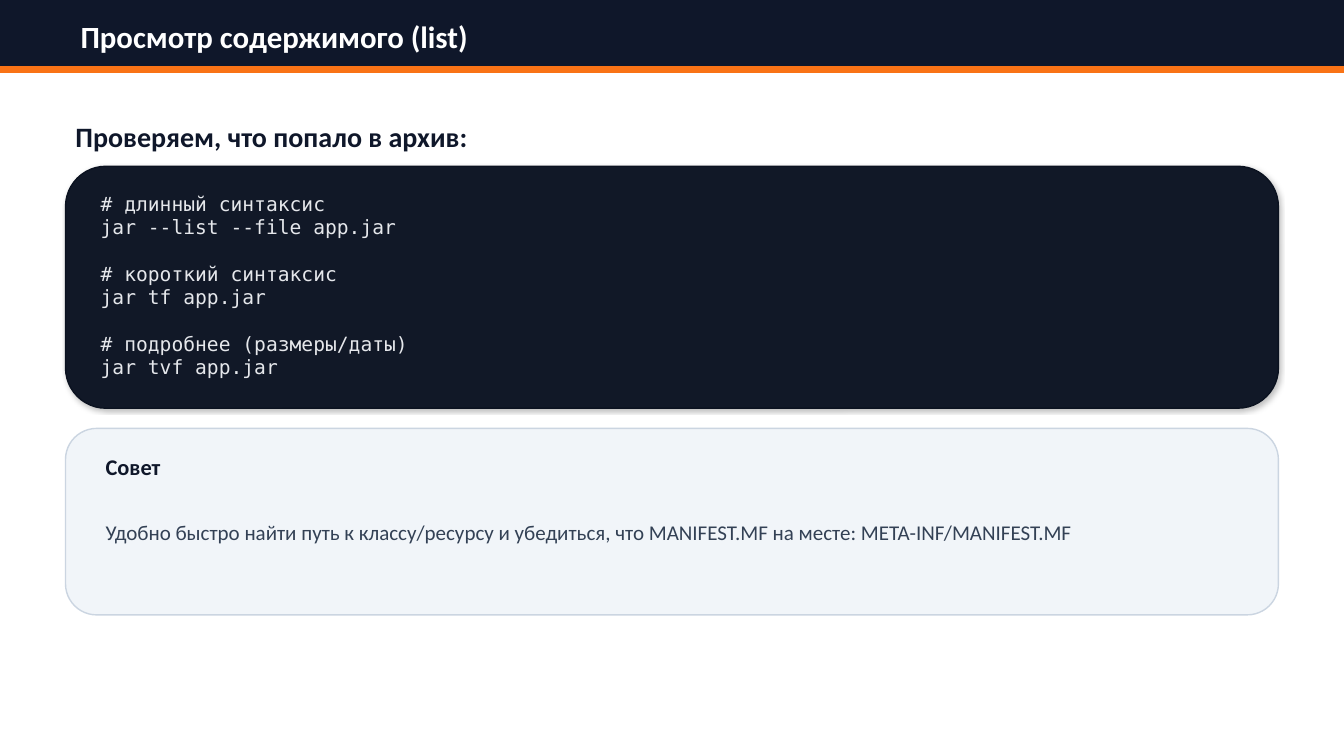
from dataclasses import dataclass
from typing import Optional

from lxml.etree import SubElement
from pptx import Presentation
from pptx.dml.color import RGBColor
from pptx.enum.shapes import MSO_SHAPE
from pptx.enum.text import MSO_ANCHOR, MSO_AUTO_SIZE, PP_ALIGN
from pptx.oxml.ns import qn
from pptx.shapes.autoshape import Shape
from pptx.slide import Slide
from pptx.util import Inches, Pt

NAVY = RGBColor(0x0F, 0x17, 0x2A)
ORANGE = RGBColor(0xF9, 0x73, 0x16)
WHITE = RGBColor(0xFF, 0xFF, 0xFF)
CODE_FILL = RGBColor(0x11, 0x18, 0x27)
CODE_EDGE = RGBColor(0x0B, 0x12, 0x20)
CODE_TEXT = RGBColor(0xE5, 0xE7, 0xEB)
TIP_FILL = RGBColor(0xF1, 0xF5, 0xF9)
TIP_EDGE = RGBColor(0xCB, 0xD5, 0xE1)
TIP_TEXT = RGBColor(0x33, 0x41, 0x55)

SANS, MONO = "Calibri", "DejaVu Sans Mono"
SLIDE_WIDTH, SLIDE_HEIGHT = 13.33, 7.5
MARGIN = 0.65
CONTENT_WIDTH = SLIDE_WIDTH - 2 * MARGIN
TIP_LEFT = MARGIN + 0.3
TIP_WIDTH = SLIDE_WIDTH - 2 * TIP_LEFT
SNIPPET_GAP = Pt(16.5)


@dataclass(frozen=True)
class Box:
    left: float
    top: float
    width: float
    height: float


@dataclass(frozen=True)
class Panel:
    box: Box
    fill: RGBColor
    edge: RGBColor
    preset: MSO_SHAPE = MSO_SHAPE.ROUNDED_RECTANGLE
    shadow: bool = False


@dataclass(frozen=True)
class Label:
    box: Box
    groups: list[list[str]]
    size: int
    color: RGBColor
    font: str = SANS
    bold: bool = False
    anchor: MSO_ANCHOR = MSO_ANCHOR.MIDDLE


BARS = [
    Panel(Box(0, 0, SLIDE_WIDTH, 0.72), NAVY, NAVY, MSO_SHAPE.RECTANGLE),
    Panel(Box(0, 0.66, SLIDE_WIDTH, 0.06), ORANGE, ORANGE, MSO_SHAPE.RECTANGLE),
]
CARDS = [
    Panel(Box(MARGIN, 1.65, CONTENT_WIDTH, 2.4), CODE_FILL, CODE_EDGE, shadow=True),
    Panel(Box(MARGIN, 4.25, CONTENT_WIDTH, 1.85), TIP_FILL, TIP_EDGE),
]
TITLE = Label(Box(0.7, 0.16, 11.93, 0.4), [["Просмотр содержимого (list)"]],
              22, WHITE, bold=True)
SNIPPETS = [
    ["# длинный синтаксис", "jar --list --file app.jar"],
    ["# короткий синтаксис", "jar tf app.jar"],
    ["# подробнее (размеры/даты)", "jar tvf app.jar"],
]
LABELS = [
    Label(Box(MARGIN, 1.15, CONTENT_WIDTH, 0.4), [["Проверяем, что попало в архив:"]],
          20, NAVY, bold=True),
    Label(Box(0.9, 1.85, 7.25, 2), SNIPPETS, 14, CODE_TEXT, MONO,
          anchor=MSO_ANCHOR.TOP),
    Label(Box(TIP_LEFT, 4.45, TIP_WIDTH, 0.35), [["Совет"]], 16, NAVY, bold=True),
    Label(Box(TIP_LEFT, 4.85, TIP_WIDTH, 0.85),
          [["Удобно быстро найти путь к классу/ресурсу и убедиться, "
            "что MANIFEST.MF на месте: META-INF/MANIFEST.MF"]], 15, TIP_TEXT),
]


def add_soft_shadow(card: Shape) -> None:
    effects = card.element.spPr.find(qn("a:effectLst"))
    shadow = SubElement(effects, qn("a:outerShdw"), blurRad=str(Pt(3)),
                        dist=str(Pt(1.5)), dir=str(45 * 60000), rotWithShape="0")
    color = SubElement(shadow, qn("a:srgbClr"), val="000000")
    SubElement(color, qn("a:alpha"), val="25000")


def draw_panel(slide: Slide, panel: Panel) -> None:
    box = panel.box
    shape = slide.shapes.add_shape(panel.preset, Inches(box.left), Inches(box.top),
                                   Inches(box.width), Inches(box.height))
    shape.fill.solid()
    shape.fill.fore_color.rgb = panel.fill
    shape.line.color.rgb = panel.edge
    shape.line.width = Pt(1)
    shape.shadow.inherit = False
    if panel.shadow:
        add_soft_shadow(shape)


def write_label(slide: Slide, label: Label, holder: Optional[Shape] = None) -> None:
    holder = holder or slide.shapes.add_textbox(0, 0, 0, 0)
    for side in ("left", "top", "width", "height"):
        setattr(holder, side, Inches(getattr(label.box, side)))

    frame = holder.text_frame
    frame_format = {"word_wrap": True, "auto_size": MSO_AUTO_SIZE.NONE,
                    "vertical_anchor": label.anchor}
    for name, value in frame_format.items():
        setattr(frame, name, value)

    frame.text = "\n".join(line for group in label.groups for line in group)
    paragraphs = iter(frame.paragraphs)
    font_format = {"name": label.font, "size": Pt(label.size), "bold": label.bold}
    for group_index, group in enumerate(label.groups):
        for line_index, _ in enumerate(group):
            paragraph = next(paragraphs)
            paragraph.alignment = PP_ALIGN.LEFT
            starts_group = group_index > 0 and line_index == 0
            paragraph.space_before = SNIPPET_GAP if starts_group else Pt(0)
            font = paragraph.runs[0].font
            for name, value in font_format.items():
                setattr(font, name, value)
            font.color.rgb = label.color


def main() -> None:
    deck = Presentation()
    deck.slide_width = Inches(SLIDE_WIDTH)
    deck.slide_height = Inches(SLIDE_HEIGHT)
    slide = deck.slides.add_slide(deck.slide_layouts[5])

    # Header bars, with the title raised above them
    for bar in BARS:
        draw_panel(slide, bar)
    heading = slide.shapes.title
    heading.element.getparent().append(heading.element)
    write_label(slide, TITLE, heading)

    # Code and tip cards with their text
    for card in CARDS:
        draw_panel(slide, card)
    for label in LABELS:
        write_label(slide, label)

    deck.save("out.pptx")


if __name__ == "__main__":
    main()
